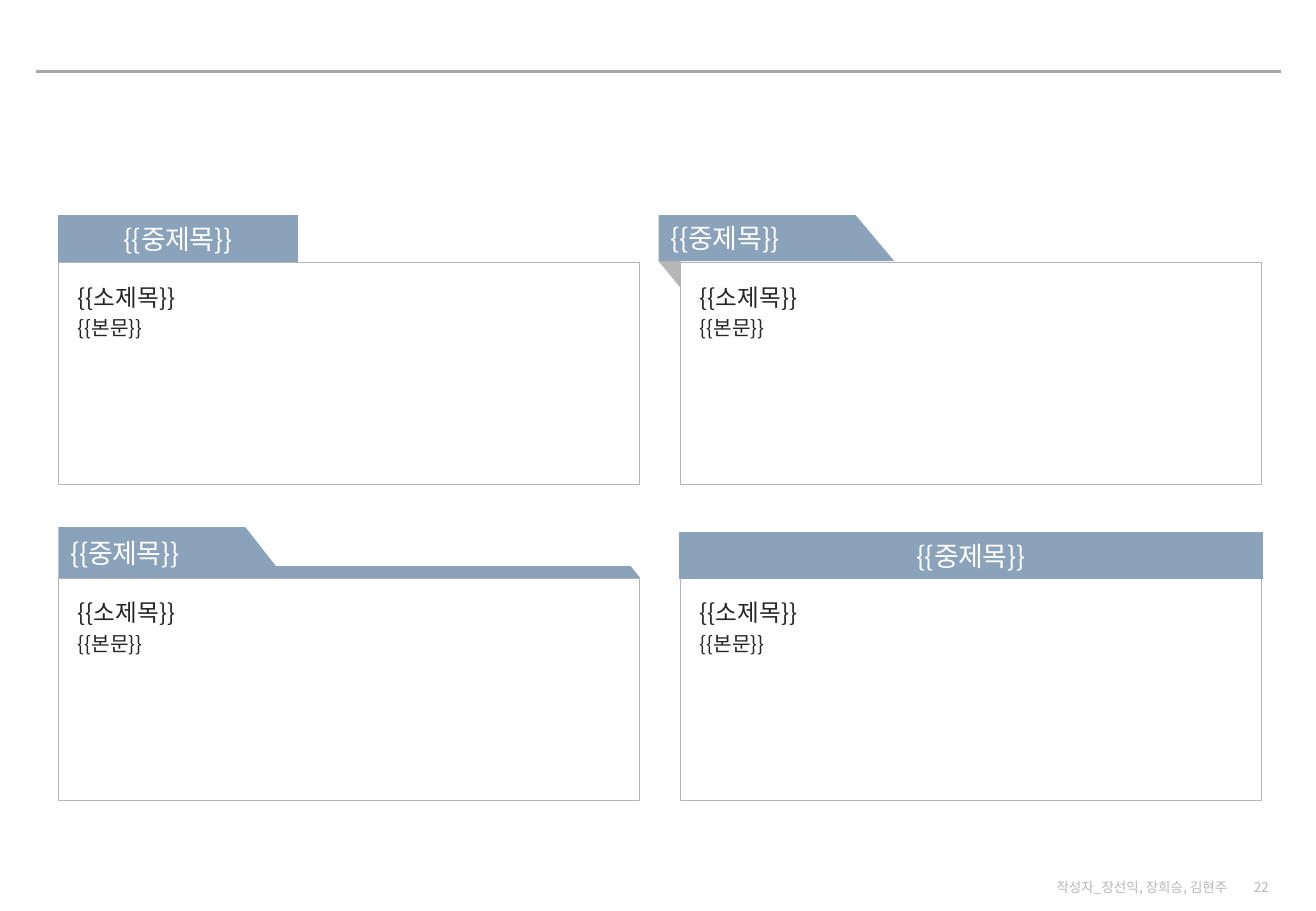
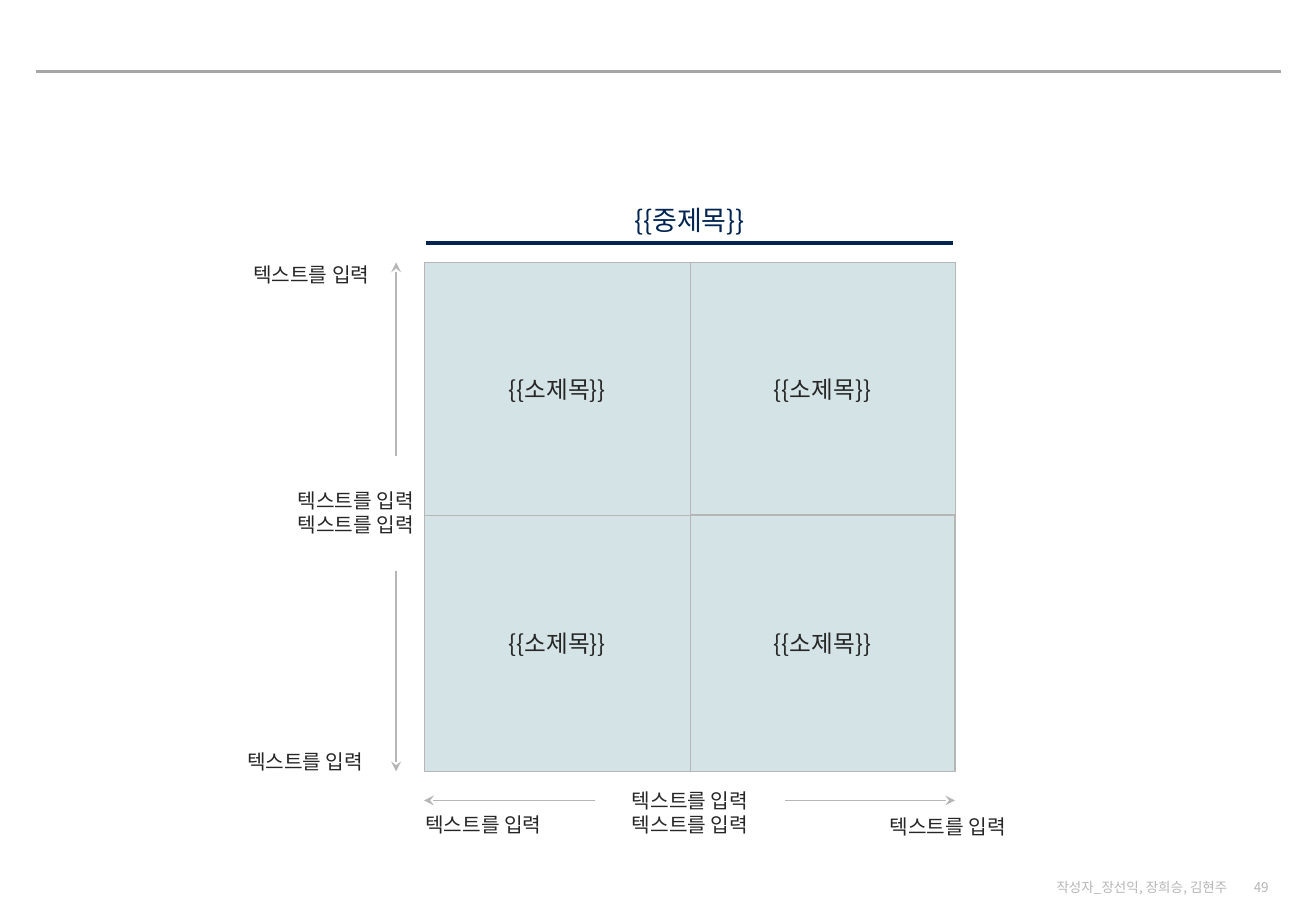
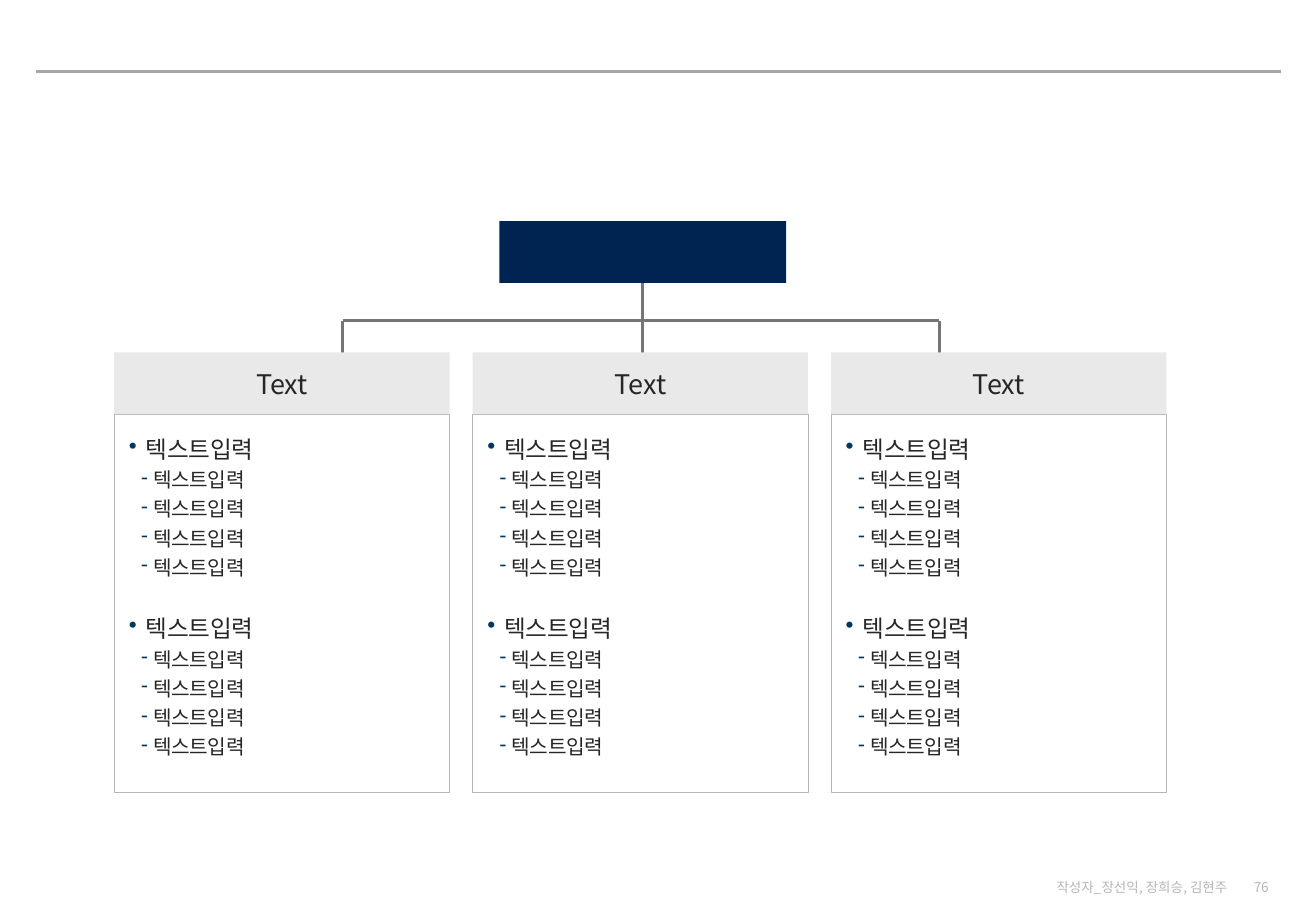
from dataclasses import dataclass
from itertools import product

from lxml.etree import SubElement
from pptx import Presentation
from pptx.dml.color import RGBColor
from pptx.enum.shapes import MSO_CONNECTOR, MSO_SHAPE
from pptx.enum.text import MSO_ANCHOR, PP_ALIGN
from pptx.oxml.ns import qn
from pptx.util import Inches, Pt

FONT = "Noto Sans CJK KR"
COLORS = {
    "white": "FFFFFF",
    "text": "262626",
    "gray": "B6B6B6",
    "rule": "A6A6A6",
    "tree": "757575",
    "pale": "E9E9E9",
    "steel": "8BA2BB",
    "mist": "D4E3E5",
    "navy": "002452",
    "bullet": "003760",
}
TIGHT = -0.2
NO_INSETS = (0, 0)
TEXT_INSETS = (0.1, 0.05)


@dataclass(frozen=True)
class Box:
    """A rectangle in inches."""

    left: float
    top: float
    width: float
    height: float

    def lengths(self) -> tuple:
        """Return the four lengths in slide units."""
        return tuple(Inches(value) for value in (self.left, self.top, self.width, self.height))


@dataclass(frozen=True)
class Card:
    """A framed panel and the tab above it."""

    body: Box
    tab: tuple
    align: PP_ALIGN


@dataclass(frozen=True)
class Segment:
    """A straight line between two points."""

    start: tuple
    end: tuple


@dataclass(frozen=True)
class Label:
    """Lines of axis text in a box."""

    box: Box
    lines: int
    align: PP_ALIGN


def rgb(name: str) -> RGBColor:
    """Look up a named colour."""
    return RGBColor.from_string(COLORS[name])


def write(shape, text: str, *, size=12, color="text", align=PP_ALIGN.LEFT, spacing=None,
          before=None, tracking=None, bullet=None, margin=0.0, hanging=0.0) -> None:
    """Append one formatted paragraph to a shape."""
    frame = shape.text_frame
    paragraph = frame.add_paragraph() if frame.text else frame.paragraphs[0]
    if bullet:
        properties = paragraph._p.get_or_add_pPr()
        properties.set("marL", str(Inches(margin)))
        properties.set("indent", str(-Inches(hanging)))
        bullet_color = SubElement(properties, qn("a:buClr"))
        SubElement(bullet_color, qn("a:srgbClr"), val=COLORS["bullet"])
        SubElement(properties, qn("a:buChar"), char=bullet)
    paragraph.alignment = align
    if spacing:
        paragraph.line_spacing = spacing
    if before:
        paragraph.space_before = Pt(before)
    run = paragraph.add_run()
    run.text = text
    run.font.size = Pt(size)
    run.font.color.rgb = rgb(color)
    run.font.name = FONT
    run_properties = run._r.get_or_add_rPr()
    SubElement(run_properties, qn("a:ea"), typeface=FONT)
    if tracking:
        run_properties.set("spc", str(round(tracking * 100)))


def set_frame(shape, anchor=MSO_ANCHOR.TOP, insets=TEXT_INSETS) -> None:
    """Set wrapping, anchor and insets of a shape's text."""
    frame = shape.text_frame
    frame.word_wrap = True
    frame.vertical_anchor = anchor
    frame.margin_left = frame.margin_right = Inches(insets[0])
    frame.margin_top = frame.margin_bottom = Inches(insets[1])


def paint(shape, fill=None, line=None, width=0.25) -> None:
    """Set fill and outline and drop the shadow."""
    shape.shadow.inherit = False
    if fill:
        shape.fill.solid()
        shape.fill.fore_color.rgb = rgb(fill)
    else:
        shape.fill.background()
    if line:
        shape.line.color.rgb = rgb(line)
        shape.line.width = Pt(width)
    else:
        shape.line.fill.background()


def add_rectangle(slide, box: Box, *, anchor=MSO_ANCHOR.MIDDLE, insets=TEXT_INSETS, **style):
    """Draw a rectangle."""
    shape = slide.shapes.add_shape(MSO_SHAPE.RECTANGLE, *box.lengths())
    paint(shape, **style)
    set_frame(shape, anchor, insets)
    return shape


def add_polygon(slide, points: tuple, fill: str):
    """Draw a filled polygon through the points."""
    corners = [(Inches(x), Inches(y)) for x, y in points]
    builder = slide.shapes.build_freeform(*corners[0])
    builder.add_line_segments(corners[1:], close=True)
    shape = builder.convert_to_shape()
    paint(shape, fill)
    set_frame(shape, MSO_ANCHOR.MIDDLE)
    return shape


def add_text_box(slide, box: Box, *, anchor=MSO_ANCHOR.TOP, insets=TEXT_INSETS):
    """Add an empty text box."""
    shape = slide.shapes.add_textbox(*box.lengths())
    set_frame(shape, anchor, insets)
    return shape


def add_line(slide, segment: Segment, color: str, width=0.0, arrow=False) -> None:
    """Draw a line, with an arrowhead at its end if asked."""
    ends = [Inches(value) for value in (*segment.start, *segment.end)]
    connector = slide.shapes.add_connector(MSO_CONNECTOR.STRAIGHT, *ends)
    connector.line.color.rgb = rgb(color)
    connector.line.width = Pt(width)
    if arrow:
        SubElement(connector.line._get_or_add_ln(), qn("a:tailEnd"), type="stealth")
    SubElement(connector._element.spPr, qn("a:effectLst"))


def add_base_slide(presentation, number: int):
    """Add a slide with the shared rule and footer."""
    slide = presentation.slides.add_slide(presentation.slide_layouts[6])
    add_line(slide, Segment((0.3, 0.59), (10.54, 0.59)), "rule")
    footers = (
        (Box(10.13, 7.22, 0.41, 0.16), str(number)),
        (Box(8.52, 7.22, 1.68, 0.16), "작성자_장선익, 장희승, 김현주"),
    )
    for box, text in footers:
        footer = add_text_box(slide, box, anchor=MSO_ANCHOR.MIDDLE)
        write(footer, text, size=8, color="gray", align=PP_ALIGN.RIGHT)
    return slide


def rectangle_points(box: Box) -> tuple:
    """Return the corners of a box."""
    right, bottom = box.left + box.width, box.top + box.height
    return (box.left, bottom), (box.left, box.top), (right, box.top), (right, bottom)


def build_cards(presentation) -> None:
    """Build the slide of four tabbed panels."""
    slide = add_base_slide(presentation, 22)
    left, right, upper, lower = 0.48, 5.6, 2.16, 4.76
    panel = (4.78, 1.83)
    folder = ((left, 4.76), (left, 4.34), (2.02, 4.34), (2.27, 4.66), (5.19, 4.66), (5.27, 4.76))
    ribbon = ((5.42, 2.15), (5.42, 1.77), (7.04, 1.77), (7.36, 2.15))
    cards = (
        Card(Box(left, upper, *panel), rectangle_points(Box(left, 1.77, 1.97, 0.39)), PP_ALIGN.CENTER),
        Card(Box(right, upper, *panel), ribbon, PP_ALIGN.LEFT),
        Card(Box(left, lower, *panel), folder, PP_ALIGN.LEFT),
        Card(Box(right, lower, *panel), rectangle_points(Box(5.59, 4.38, 4.8, 0.39)), PP_ALIGN.CENTER),
    )
    add_polygon(slide, ((5.6, 2.15), (5.42, 2.15), (5.6, 2.37)), "gray")
    for card in cards:
        body = add_rectangle(slide, card.body, anchor=MSO_ANCHOR.TOP, insets=(0.16, 0.12),
                             line="gray", width=0.5)
        write(body, "{{소제목}}", size=14, spacing=1.2)
        write(body, "{{본문}}", spacing=1.2)
        tab = add_polygon(slide, card.tab, "steel")
        write(tab, "{{중제목}}", size=16, color="white", align=card.align, tracking=TIGHT)


def build_matrix(presentation) -> None:
    """Build the two-by-two matrix with its axes."""
    slide = add_base_slide(presentation, 49)
    columns, rows = (3.49, 5.68, 7.86), (2.16, 4.24, 6.35)
    for row, column in product(range(2), repeat=2):
        box = Box(columns[column], rows[row], columns[column + 1] - columns[column],
                  rows[row + 1] - rows[row])
        cell = add_rectangle(slide, box, fill="mist", line="gray",
                             width=0.75 if row and column else 0.25)
        write(cell, "{{소제목}}", size=14, align=PP_ALIGN.CENTER)

    heading = add_text_box(slide, Box(3.49, 1.62, 4.37, 0.37), anchor=MSO_ANCHOR.BOTTOM)
    write(heading, "{{중제목}}", size=16, color="navy", align=PP_ALIGN.CENTER, tracking=TIGHT)
    add_line(slide, Segment((3.51, 2.0), (7.84, 2.0)), "navy", 2)

    axis_x, axis_y = 3.26, 6.59
    arrows = (
        Segment((4.9, axis_y), (columns[0], axis_y)),
        Segment((6.46, axis_y), (columns[-1], axis_y)),
        Segment((axis_x, 3.75), (axis_x, rows[0])),
        Segment((axis_x, 4.7), (axis_x, rows[-1])),
    )
    for arrow in arrows:
        add_line(slide, arrow, "gray", 1, arrow=True)

    labels = (
        Label(Box(1.54, 2.16, 1.5, 0.2), 1, PP_ALIGN.RIGHT),
        Label(Box(2.45, 4.02, 1.0, 0.4), 2, PP_ALIGN.LEFT),
        Label(Box(1.49, 6.17, 1.5, 0.2), 1, PP_ALIGN.RIGHT),
        Label(Box(3.5, 6.69, 1.2, 0.2), 1, PP_ALIGN.LEFT),
        Label(Box(5.0, 6.49, 1.36, 0.4), 2, PP_ALIGN.CENTER),
        Label(Box(7.32, 6.7, 1.2, 0.2), 1, PP_ALIGN.LEFT),
    )
    for label in labels:
        shape = add_text_box(slide, label.box, insets=NO_INSETS)
        for _ in range(label.lines):
            write(shape, "텍스트를 입력", align=label.align)


def build_tree(presentation) -> None:
    """Build the tree of three bulleted columns."""
    slide = add_base_slide(presentation, 76)
    left_x, middle_x, right_x = 2.82, 5.29, 7.73
    branch_y, column_y = 2.64, 2.91
    segments = (
        Segment((left_x, branch_y), (right_x, branch_y)),
        Segment((middle_x, 2.27), (middle_x, column_y)),
        Segment((left_x, branch_y), (left_x, column_y)),
        Segment((right_x, branch_y), (right_x, column_y)),
    )
    for segment in segments:
        add_line(slide, segment, "tree")
    add_rectangle(slide, Box(4.11, 1.82, 2.36, 0.51), fill="navy")

    for column in range(3):
        left = 0.94 + column * 2.95
        body = add_rectangle(slide, Box(left, 3.41, 2.76, 3.11), anchor=MSO_ANCHOR.TOP,
                             insets=(0.12, 0.12), fill="white", line="gray")
        for before in (None, 17):
            write(body, "텍스트입력", size=14, spacing=1.2, before=before, tracking=TIGHT,
                  bullet="•", margin=0.14, hanging=0.14)
            for _ in range(4):
                write(body, "텍스트입력", spacing=1.2, tracking=TIGHT,
                      bullet="‐", margin=0.2, hanging=0.1)
        header = add_rectangle(slide, Box(left, 2.9, 2.76, 0.51), fill="pale")
        write(header, "Text", size=16, align=PP_ALIGN.CENTER)


def main() -> None:
    """Build and save the presentation."""
    presentation = Presentation()
    presentation.slide_width = Inches(10.83)
    presentation.slide_height = Inches(7.5)
    build_cards(presentation)
    build_matrix(presentation)
    build_tree(presentation)
    presentation.save("out.pptx")


if __name__ == "__main__":
    main()
